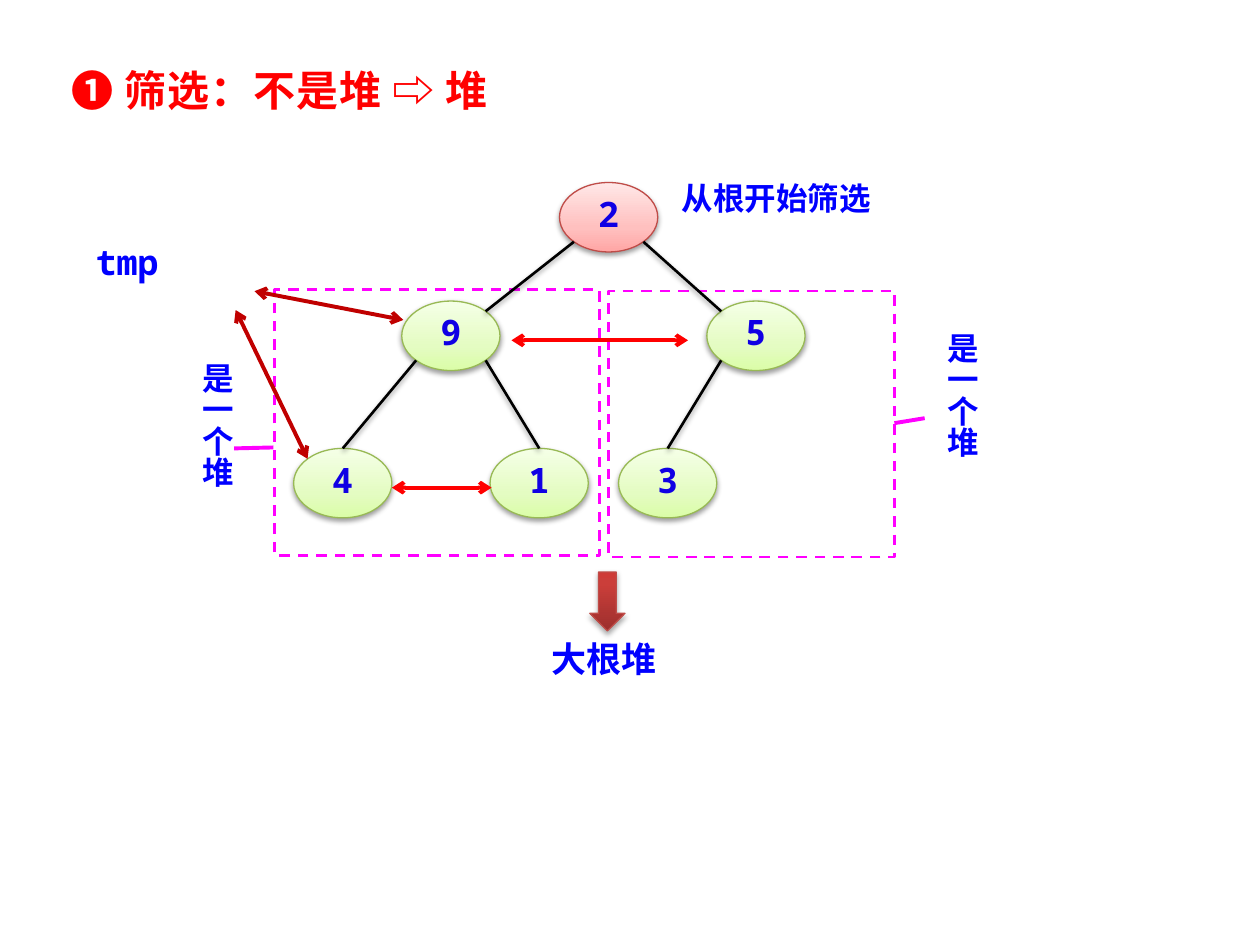
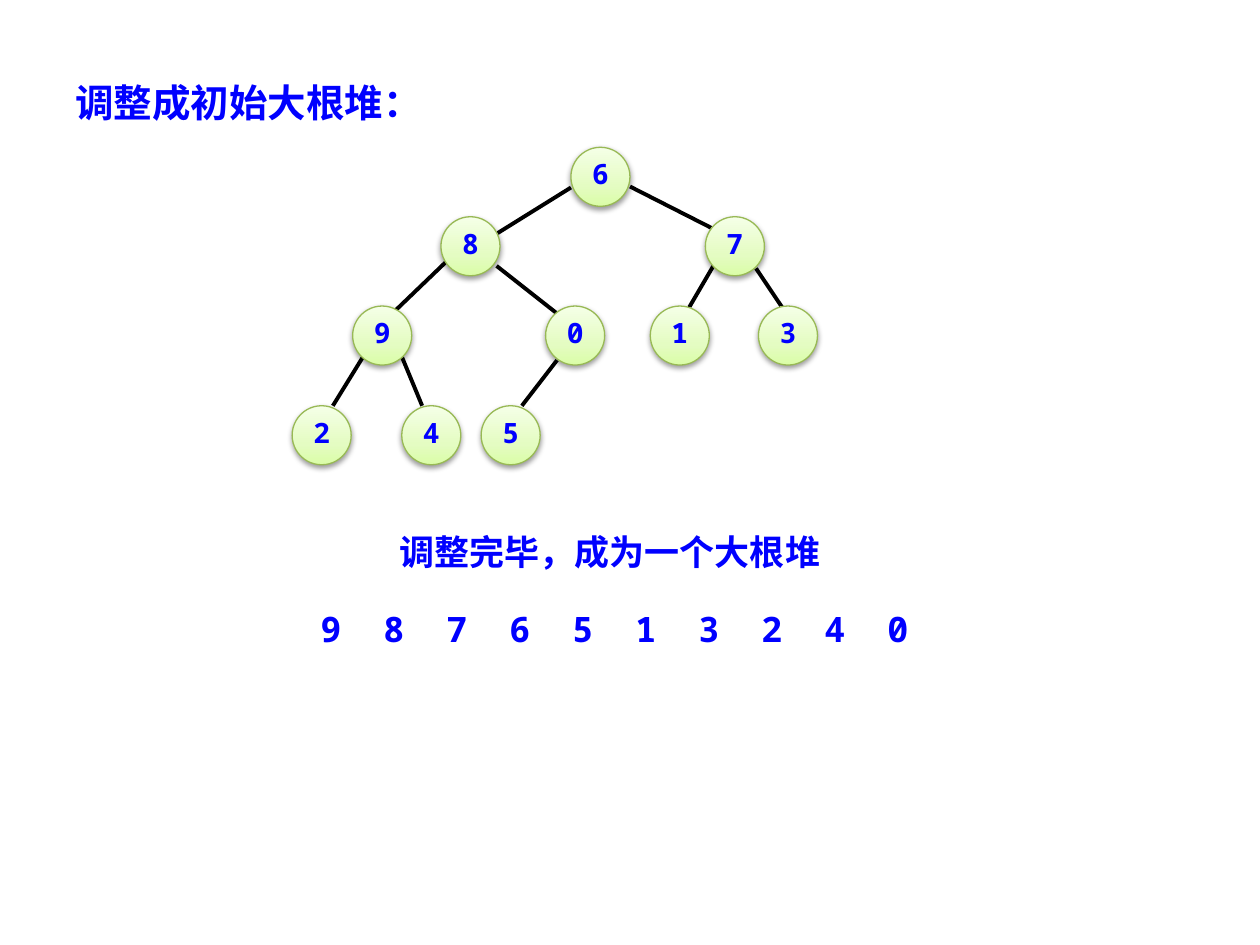
from math import cos, radians, sin

from lxml.etree import SubElement
from pptx import Presentation
from pptx.dml.color import RGBColor
from pptx.enum.dml import MSO_LINE
from pptx.enum.shapes import MSO_CONNECTOR, MSO_SHAPE
from pptx.enum.text import MSO_ANCHOR, MSO_AUTO_SIZE, PP_ALIGN
from pptx.oxml.ns import qn
from pptx.util import Cm, Pt

# Shared style
MONO, SANS = "Noto Sans Mono", "Noto Sans CJK SC"
BLUE, NODE_BLUE, RED, DARK_RED = "0000FF", "1000E4", "FF0000", "C00000"
MAGENTA, BLACK = "FF00FF", "000000"
GREEN_STYLE = ([(0, "DAFDA7"), (35, "E4FCC2"), (100, "F5FFE7")], "98B955")
PINK_STYLE = ([(0, "FFA6A5"), (35, "FFC0BF"), (100, "FFE7E7")], "BF4C48")
ARROW_STYLE = ([(0, "9C2F2D"), (80, "CB3E3A"), (100, "CE3B37")], "BF4C48")
TIGHT = 0.8

# Heap on slide 1: value -> (left, top) in cm
OVAL_WIDTH, OVAL_HEIGHT = 1.98, 1.4
OVALS = {"2": (11.28, 3.68), "9": (8.1, 6.07), "5": (14.25, 6.07),
         "4": (5.92, 9.04), "1": (9.88, 9.04), "3": (12.47, 9.04)}
# Parent, angle on its rim, child, angle on its rim (clockwise from the right)
OVAL_EDGES = [("9", 135, "4", 270), ("9", 45, "1", 270), ("5", 135, "3", 270),
              ("2", 135, "9", 315), ("2", 45, "5", 225)]

# Heap on slide 2: row top -> (value, left), in cm
CIRCLE = 1.19
CIRCLE_ROWS = {2.97: [("6", 11.51)],
               4.37: [("8", 8.89), ("7", 14.22)],
               6.17: [("9", 7.11), ("0", 11), ("1", 13.11), ("3", 15.29)],
               8.18: [("2", 5.89), ("4", 8.1), ("5", 9.7)]}
CIRCLE_EDGES = [((11.51, 3.78), (10.03, 4.7)), ((12.7, 3.76), (14.35, 4.6)),
                ((8.99, 5.28), (7.98, 6.25)), ((10.01, 5.36), (11.23, 6.32)),
                ((14.38, 5.36), (13.89, 6.2)), ((15.24, 5.41), (15.77, 6.2)),
                ((7.32, 7.19), (6.71, 8.18)), ((8.1, 7.19), (8.51, 8.18)),
                ((11.23, 7.26), (10.52, 8.18))]
HEAP_ORDER = "9876513240"
DIGIT_PITCH = 1.27


def colour(value):
    return RGBColor.from_string(value)


def add_effects(shape, shadow_alpha=None, distance=1.6):
    """Give a shape a soft shadow below it, or none at all."""
    effects = SubElement(shape.element.spPr, qn("a:effectLst"))
    if shadow_alpha:
        shadow = SubElement(effects, qn("a:outerShdw"), blurRad=str(Pt(3.1)),
                            dist=str(Pt(distance)), dir="5400000", rotWithShape="0")
        black = SubElement(shadow, qn("a:srgbClr"), val=BLACK)
        SubElement(black, qn("a:alpha"), val=str(shadow_alpha * 1000))


def fill_gradient(shape, stops):
    """Fill a shape with a gradient that runs from bottom to top."""
    properties = shape.element.spPr
    gradient = SubElement(properties, qn("a:gradFill"), rotWithShape="1")
    properties.find(qn("a:prstGeom")).addnext(gradient)
    stop_list = SubElement(gradient, qn("a:gsLst"))
    for position, value in stops:
        stop = SubElement(stop_list, qn("a:gs"), pos=str(position * 1000))
        SubElement(stop, qn("a:srgbClr"), val=value)
    SubElement(gradient, qn("a:lin"), ang="16200000", scaled="0")


def write_text(frame, text, size, text_colour=BLUE, font_name=MONO,
               alignment=PP_ALIGN.CENTER, line_spacing=1.0):
    paragraph = frame.paragraphs[0]
    paragraph.alignment = alignment
    paragraph.line_spacing = line_spacing
    paragraph.space_before = Pt(0)
    run = paragraph.add_run()
    run.text = text
    run.font.size = Pt(size)
    run.font.bold = True
    run.font.color.rgb = colour(text_colour)
    run.font.name = font_name
    SubElement(run.font._element, qn("a:ea"), typeface=SANS)
    return run


def add_title(slide, box, text, size, text_colour, font_name):
    title = slide.shapes.title
    title.left, title.top, title.width, title.height = map(Cm, box)
    frame = title.text_frame
    frame.word_wrap = True
    frame.auto_size = MSO_AUTO_SIZE.NONE
    frame.vertical_anchor = MSO_ANCHOR.TOP
    return write_text(frame, text, size, text_colour, font_name, PP_ALIGN.LEFT)


def add_label(slide, box, text, size, vertical=False, **style):
    frame = slide.shapes.add_textbox(*map(Cm, box)).text_frame
    frame.word_wrap = True
    frame.auto_size = MSO_AUTO_SIZE.SHAPE_TO_FIT_TEXT
    if vertical:
        frame._txBody.bodyPr.set("vert", "eaVert")
    write_text(frame, text, size, **style)
    return frame


def add_glossy_shape(slide, kind, box, style, shadow_alpha=38, distance=1.6):
    stops, outline = style
    shape = slide.shapes.add_shape(kind, *map(Cm, box))
    fill_gradient(shape, stops)
    shape.line.color.rgb = colour(outline)
    shape.line.width = Pt(0.75)
    add_effects(shape, shadow_alpha, distance)
    return shape


def add_node(slide, box, text, size, text_colour, style=GREEN_STYLE, wrap=True):
    node = add_glossy_shape(slide, MSO_SHAPE.OVAL, box, style)
    frame = node.text_frame
    frame.word_wrap = wrap
    frame.vertical_anchor = MSO_ANCHOR.MIDDLE
    write_text(frame, text, size, text_colour, line_spacing=TIGHT)


def add_line(slide, start, end, line_colour, width=2.25, arrows=False, shadow_alpha=None):
    line = slide.shapes.add_connector(MSO_CONNECTOR.STRAIGHT, *map(Cm, start + end))
    line.line.color.rgb = colour(line_colour)
    line.line.width = Pt(width)
    if arrows:
        for tag in ("a:headEnd", "a:tailEnd"):
            SubElement(line.line._get_or_add_ln(), qn(tag), type="arrow")
    add_effects(line, shadow_alpha)


def add_subheap(slide, frame_box, label_place, leader):
    """Dashed frame with an upright label and the line that joins them."""
    frame = slide.shapes.add_shape(MSO_SHAPE.RECTANGLE, *map(Cm, frame_box))
    frame.shadow.inherit = False
    frame.fill.background()
    frame.line.color.rgb = colour(MAGENTA)
    frame.line.width = Pt(1.5)
    frame.line.dash_style = MSO_LINE.DASH
    add_label(slide, label_place + (1.12, 3.96), "是一个堆", 18,
              vertical=True, line_spacing=TIGHT)
    add_line(slide, *leader, MAGENTA)


def rim_point(value, angle):
    left, top = OVALS[value]
    return (left + OVAL_WIDTH / 2 * (1 + cos(radians(angle))),
            top + OVAL_HEIGHT / 2 * (1 + sin(radians(angle))))


def build_sifting_slide(slide):
    # Two subtrees that are heaps already
    add_subheap(slide, (5.54, 5.84, 6.55, 5.36), (3.61, 7.06),
                ((4.72, 9.04), (5.51, 9.02)))
    add_subheap(slide, (12.27, 5.87, 5.77, 5.36), (18.64, 6.45),
                ((18.03, 8.53), (18.64, 8.43)))

    # Tree
    for value, place in OVALS.items():
        add_node(slide, place + (OVAL_WIDTH, OVAL_HEIGHT), value, 20, NODE_BLUE,
                 PINK_STYLE if value == "2" else GREEN_STYLE)
    for parent, parent_angle, child, child_angle in OVAL_EDGES:
        add_line(slide, rim_point(parent, parent_angle), rim_point(child, child_angle),
                 BLACK, 1.5, shadow_alpha=38)

    # Title and labels
    title_run = add_title(slide, (1.19, 1.17, 11.51, 1.27), "❶ 筛选：不是堆 ⇨ 堆",
                          24, RED, MONO)
    title_run.font._element.set("spc", "50")
    add_label(slide, (13.49, 3.48, 5.16, 1.02), "从根开始筛选", 18,
              alignment=PP_ALIGN.LEFT)
    add_label(slide, (1.37, 4.88, 2.39, 0.97), "tmp", 20, line_spacing=TIGHT)

    # Result
    add_glossy_shape(slide, MSO_SHAPE.DOWN_ARROW, (11.89, 11.53, 0.71, 1.19),
                     ARROW_STYLE, shadow_alpha=35, distance=1.8)
    add_label(slide, (10.49, 12.9, 3.38, 0.94), "大根堆", 20, line_spacing=TIGHT)

    # Comparisons between siblings, then moves to and from tmp
    for start, end, line_colour in [((10.31, 6.86), (13.87, 6.86), RED),
                                    ((7.9, 9.83), (9.91, 9.83), RED),
                                    ((5.13, 5.87), (8.13, 6.45), DARK_RED),
                                    ((4.75, 6.25), (6.2, 9.25), DARK_RED)]:
        add_line(slide, start, end, line_colour, arrows=True)


def build_initial_heap_slide(slide):
    add_title(slide, (1.27, 1.47, 9.04, 1.19), "调整成初始大根堆：", 22, BLUE, SANS)

    # Tree
    for start, end in CIRCLE_EDGES:
        add_line(slide, start, end, BLACK)
    for top, row in CIRCLE_ROWS.items():
        for value, left in row:
            add_node(slide, (left, top, CIRCLE, CIRCLE), value, 16, BLUE, wrap=False)

    # Conclusion and the heap as a sequence on even tab stops
    add_label(slide, (6.3, 10.57, 11.99, 1.12), "调整完毕，成为一个大根堆", 20,
              font_name=SANS)
    sequence = add_label(slide, (5.77, 12.12, 13.28, 1.12), "\t".join(HEAP_ORDER), 20,
                         alignment=PP_ALIGN.LEFT)
    sequence.margin_left = Cm(0.69)
    properties = sequence.paragraphs[0]._p.get_or_add_pPr()
    tab_stops = SubElement(properties, qn("a:tabLst"))
    for index in range(1, len(HEAP_ORDER)):
        SubElement(tab_stops, qn("a:tab"), pos=str(Cm(DIGIT_PITCH * index)), algn="l")


def main():
    presentation = Presentation()
    presentation.slide_width, presentation.slide_height = Cm(25.4), Cm(19.05)
    title_only = presentation.slide_layouts[5]
    for build_slide in (build_sifting_slide, build_initial_heap_slide):
        build_slide(presentation.slides.add_slide(title_only))
    presentation.save("out.pptx")


if __name__ == "__main__":
    main()
